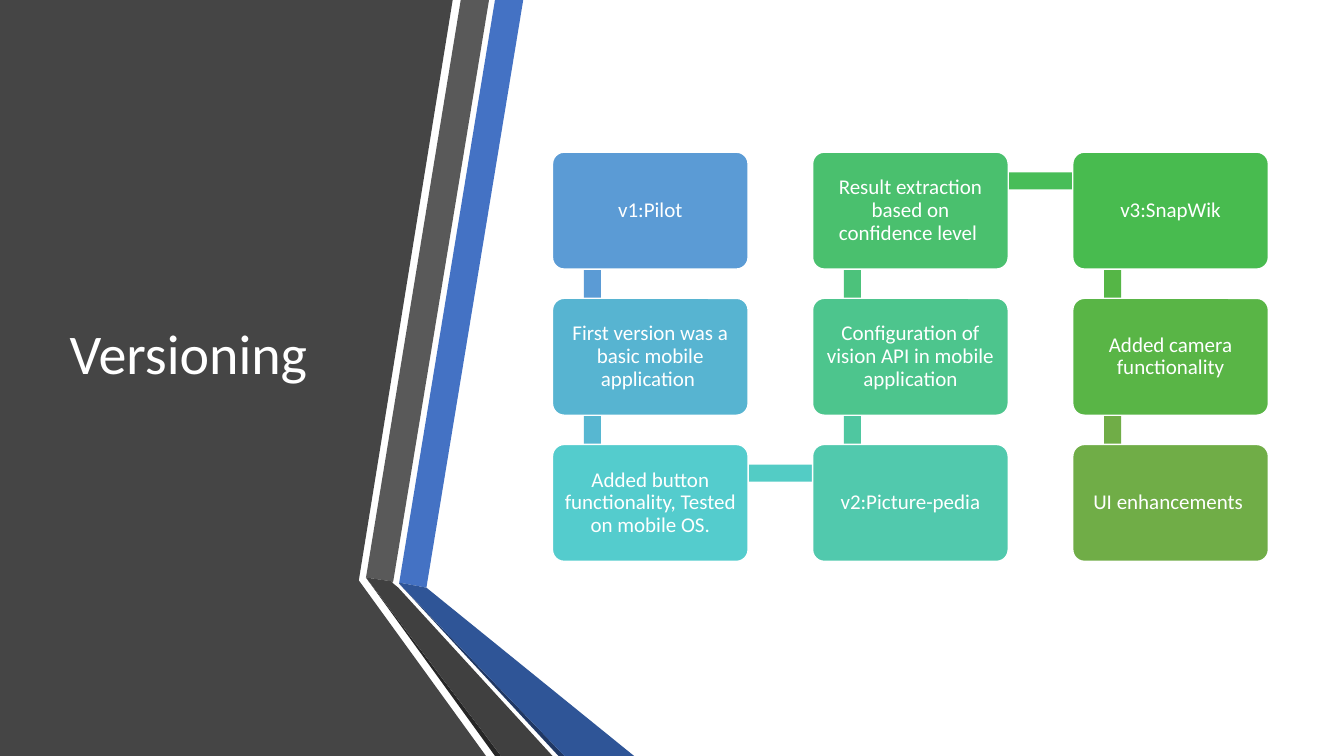
from pptx import Presentation
from pptx.dml.color import RGBColor
from pptx.enum.shapes import MSO_SHAPE as Shape
from pptx.enum.text import MSO_ANCHOR as Anchor, MSO_AUTO_SIZE as AutoSize, PP_ALIGN as Align
from pptx.util import Inches, Pt

WHITE = RGBColor(0xFF, 0xFF, 0xFF)
CHARCOAL = RGBColor(0x45, 0x45, 0x45)
BLUE = RGBColor(0x44, 0x72, 0xC4)
GRAY = RGBColor(0x59, 0x59, 0x59)
NEAR_BLACK = RGBColor(0x26, 0x26, 0x26)
NAVY = RGBColor(0x20, 0x38, 0x64)
DARK_BLUE = RGBColor(0x2F, 0x55, 0x97)
DARK_GRAY = RGBColor(0x40, 0x40, 0x40)

FONT = "Calibri"
TITLE = "Versioning"

RIBBONS = [
    (CHARCOAL, [(0, 0), (4.49, 0), (3.56, 5.75), (3.56, 5.76), (4.82, 7.5), (0, 7.5)]),
    (BLUE, [(3.96, 5.78), (4.23, 5.83), (5.19, 0), (4.91, 0)]),
    (GRAY, [(4.85, 0), (4.57, 0), (3.63, 5.73), (3.9, 5.77)]),
    (NEAR_BLACK, [(3.63, 5.73), (4.91, 7.5), (4.97, 7.5)]),
    (NAVY, [(3.96, 5.79), (5.54, 7.5), (5.6, 7.5)]),
    (DARK_BLUE, [(3.96, 5.79), (5.6, 7.5), (6.29, 7.5), (4.23, 5.83), (3.96, 5.78)]),
    (DARK_GRAY, [(5.48, 7.5), (3.95, 5.83), (3.89, 5.78), (3.9, 5.77), (3.63, 5.73), (4.97, 7.5)]),
]

STEPS = [
    ("v1:Pilot", RGBColor(0x5B, 0x9B, 0xD5), RGBColor(0x5B, 0x9B, 0xD5)),
    ("First version was a basic mobile application ",
     RGBColor(0x57, 0xB4, 0xD1), RGBColor(0x57, 0xB7, 0xD1)),
    ("Added button functionality, Tested on mobile OS.",
     RGBColor(0x54, 0xCC, 0xCD), RGBColor(0x53, 0xCC, 0xC5)),
    ("v2:Picture-pedia", RGBColor(0x51, 0xC9, 0xAD), RGBColor(0x4F, 0xC7, 0xA0)),
    ("Configuration of vision API in mobile application",
     RGBColor(0x4D, 0xC5, 0x8D), RGBColor(0x4C, 0xC2, 0x7B)),
    ("Result extraction based on confidence level ",
     RGBColor(0x4A, 0xC0, 0x6E), RGBColor(0x48, 0xBD, 0x58)),
    ("v3:SnapWik", RGBColor(0x48, 0xBB, 0x4F), RGBColor(0x55, 0xB6, 0x46)),
    ("Added camera functionality", RGBColor(0x59, 0xB5, 0x46), RGBColor(0x70, 0xAD, 0x47)),
    ("UI enhancements ", RGBColor(0x70, 0xAD, 0x47), None),
]

ROWS = 3
GRID_LEFT, GRID_TOP = 5.48, 1.51
CARD_WIDTH, CARD_HEIGHT = 1.94, 1.16
COLUMN_STEP, ROW_STEP = 2.58, 1.45
BAR = 0.17


def paint(shape, color):
    shape.shadow.inherit = False
    shape.fill.solid()
    shape.fill.fore_color.rgb = color
    shape.line.fill.background()


def write(shape, text, size, align, margin):
    frame = shape.text_frame
    frame.word_wrap = True
    frame.auto_size = AutoSize.NONE
    frame.vertical_anchor = Anchor.MIDDLE
    frame.margin_left = frame.margin_right = Inches(margin)
    frame.margin_top = frame.margin_bottom = Inches(margin)
    paragraph = frame.paragraphs[0]
    paragraph.alignment = align
    paragraph.line_spacing = 0.9
    run = paragraph.add_run()
    run.text = text
    run.font.name = FONT
    run.font.size = Pt(size)
    run.font.color.rgb = WHITE


def add_block(slide, kind, left, top, width, height, color):
    shape = slide.shapes.add_shape(
        kind, Inches(left), Inches(top), Inches(width), Inches(height))
    paint(shape, color)
    return shape


def add_ribbon(slide, color, points):
    builder = slide.shapes.build_freeform(
        Inches(points[0][0]), Inches(points[0][1]), scale=1.0)
    builder.add_line_segments([(Inches(x), Inches(y)) for x, y in points[1:]], close=True)
    paint(builder.convert_to_shape(), color)


def card_position(index):
    column, row = divmod(index, ROWS)
    if column == 1:
        row = ROWS - 1 - row
    return GRID_LEFT + column * COLUMN_STEP, GRID_TOP + row * ROW_STEP


def add_bar(slide, index, color):
    left, top = card_position(index)
    next_left, next_top = card_position(index + 1)
    if next_left > left:
        add_block(slide, Shape.RECTANGLE, left + 0.4, top + 0.2, COLUMN_STEP, BAR, color)
    else:
        add_block(slide, Shape.RECTANGLE, left + 0.31, min(top, next_top) + 0.28,
                  BAR, ROW_STEP, color)


def add_card(slide, index, text, color):
    left, top = card_position(index)
    card = add_block(slide, Shape.ROUNDED_RECTANGLE, left, top, CARD_WIDTH, CARD_HEIGHT, color)
    card.adjustments[0] = 0.1
    card.line.color.rgb = WHITE
    card.line.width = Pt(1)
    write(card, text, size=15, align=Align.CENTER, margin=0.08)


def main():
    presentation = Presentation()
    presentation.slide_width, presentation.slide_height = Inches(13.33), Inches(7.5)
    slide = presentation.slides.add_slide(presentation.slide_layouts[5])
    title = slide.shapes.title

    for color, points in RIBBONS:
        add_ribbon(slide, color, points)

    title.left, title.top = Inches(0.59), Inches(0.75)
    title.width, title.height = Inches(3.04), Inches(5.58)
    write(title, TITLE, size=40, align=Align.LEFT, margin=0.1)
    slide.shapes._spTree.append(title._element)

    for index, (text, color, bar_color) in enumerate(STEPS):
        if bar_color is not None:
            add_bar(slide, index, bar_color)
        add_card(slide, index, text, color)

    presentation.save("out.pptx")


if __name__ == "__main__":
    main()
